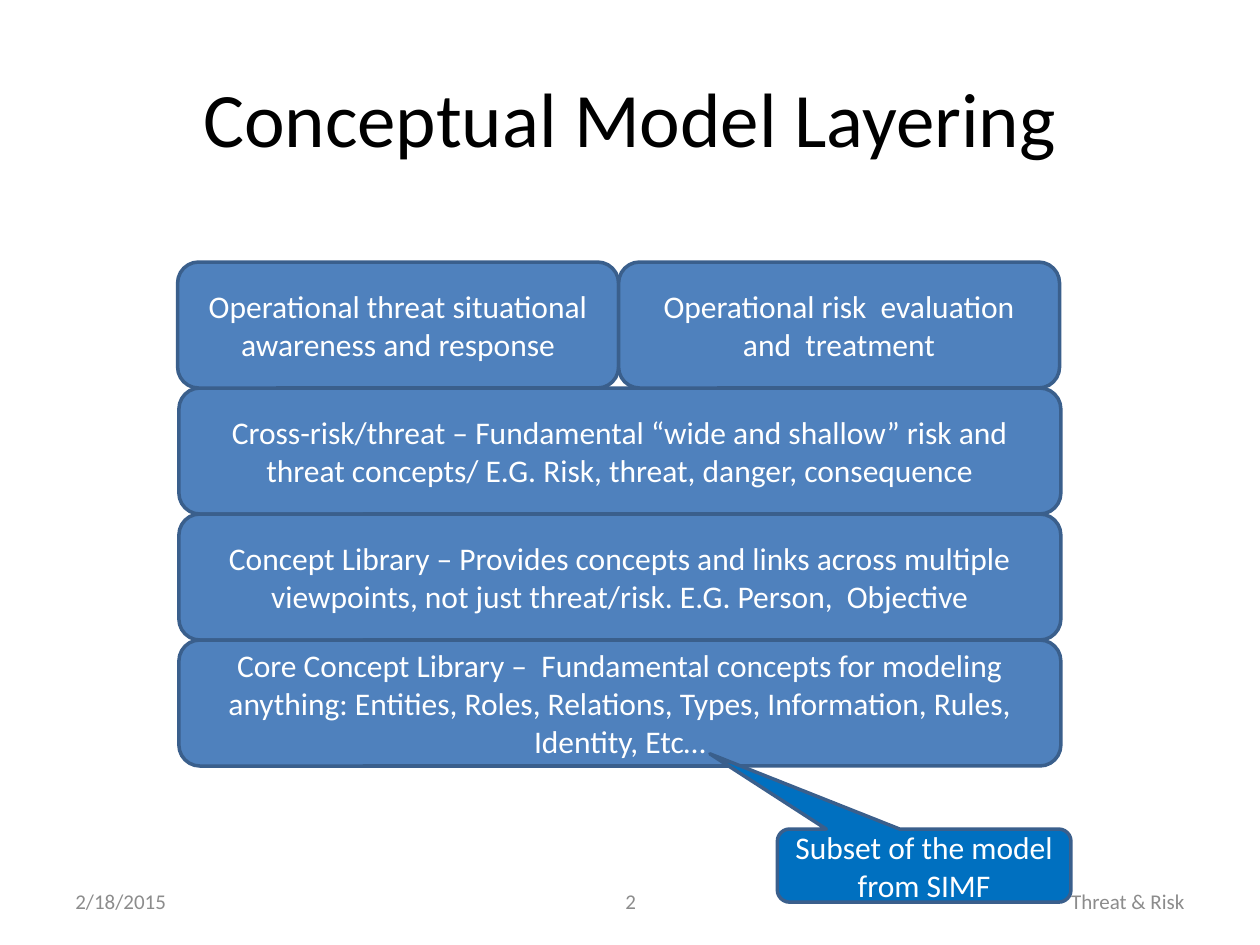
"""Build the Conceptual Model Layering slide."""
from dataclasses import dataclass

import pptx
import pptx.dml.color
import pptx.enum.shapes
import pptx.enum.text
import pptx.util

Inches = pptx.util.Inches
SHAPE = pptx.enum.shapes.MSO_SHAPE
ALIGN = pptx.enum.text.PP_ALIGN


@dataclass(frozen=True)
class Theme:
    """Hold the colours, font and type sizes of the slide."""
    font: str = "Calibri"
    title: str = "000000"
    muted: str = "8C8C8C"
    label: str = "FFFFFF"
    layer: str = "4F81BD"
    callout: str = "0070C0"
    outline: str = "3A5F8C"
    title_size: int = 44
    label_size: int = 18
    footer_size: int = 12
    line_width: int = 2


THEME = Theme()


def rgb(value):
    """Return a colour from its hex value."""
    return pptx.dml.color.RGBColor.from_string(value)


def set_text(sp, text, size, color, align):
    """Write one vertically centred, wrapped paragraph into a shape."""
    tf = sp.text_frame
    tf.text = text
    tf.word_wrap = True
    tf.vertical_anchor = pptx.enum.text.MSO_ANCHOR.MIDDLE
    p = tf.paragraphs[0]
    p.alignment = align
    r = p.runs[0]
    r.font.name = THEME.font
    r.font.size = pptx.util.Pt(size)
    r.font.color.rgb = rgb(color)


def add_text(s, box, text, size, color, align=ALIGN.CENTER):
    """Add a plain text box."""
    sp = s.shapes.add_textbox(*map(Inches, box))
    set_text(sp, text, size, color, align)


def add_block(s, kind, box, text, fill):
    """Add a filled, outlined shape with a centred label."""
    sp = s.shapes.add_shape(kind, *map(Inches, box))
    sp.shadow.inherit = False
    sp.fill.solid()
    sp.fill.fore_color.rgb = rgb(fill)
    sp.line.color.rgb = rgb(THEME.outline)
    sp.line.width = pptx.util.Pt(THEME.line_width)
    set_text(sp, text, THEME.label_size, THEME.label, ALIGN.CENTER)
    return sp


def add_layers(s):
    """Stack the full-width layers under the two operational ones."""
    left, top, width, height = 1.42, 2.08, 7, 1
    layers = [
        "Cross-risk/threat – Fundamental “wide and shallow” risk and threat "
        "concepts/ E.G. Risk, threat, danger, consequence",
        "Concept Library – Provides concepts and links across multiple "
        "viewpoints, not just threat/risk. E.G. Person,  Objective",
        "Core Concept Library –  Fundamental concepts for modeling anything: "
        "Entities, Roles, Relations, Types, Information, Rules, Identity, Etc…",
    ]
    operations = [
        "Operational threat situational awareness and response",
        "Operational risk  evaluation and  treatment",
    ]
    for row, text in enumerate(layers, 1):
        box = (left, top + row * height, width, height)
        add_block(s, SHAPE.ROUNDED_RECTANGLE, box, text, THEME.layer)
    half = width / len(operations)
    for col, text in enumerate(operations):
        box = (left - 0.01 + col * half, top, half, height)
        add_block(s, SHAPE.ROUNDED_RECTANGLE, box, text, THEME.layer)


def add_callout(s):
    """Add the callout that points at the core layer."""
    sp = add_block(s, SHAPE.ROUNDED_RECTANGULAR_CALLOUT, (6.17, 6.58, 2.33, 0.58),
                   "Subset of the model from SIMF", THEME.callout)
    sp.adjustments[0] = -0.73
    sp.adjustments[1] = -1.53


def add_footer(s):
    """Add the date, slide number and footer text."""
    for left, width, text, align in [
        (0.5, 2.33, "2/18/2015", ALIGN.LEFT),
        (3.42, 3.17, "2", ALIGN.CENTER),
        (7.17, 2.33, "Threat & Risk", ALIGN.RIGHT),
    ]:
        add_text(s, (left, 6.95, width, 0.4), text,
                 THEME.footer_size, THEME.muted, align)


def main():
    """Build and save the slide."""
    prs = pptx.Presentation()
    prs.slide_width, prs.slide_height = Inches(10), Inches(7.5)
    s = prs.slides.add_slide(prs.slide_layouts[6])
    add_footer(s)
    add_text(s, (0.5, 0.3, 9, 1.25), "Conceptual Model Layering",
             THEME.title_size, THEME.title)
    add_layers(s)
    add_callout(s)
    prs.save("out.pptx")


if __name__ == "__main__":
    main()
